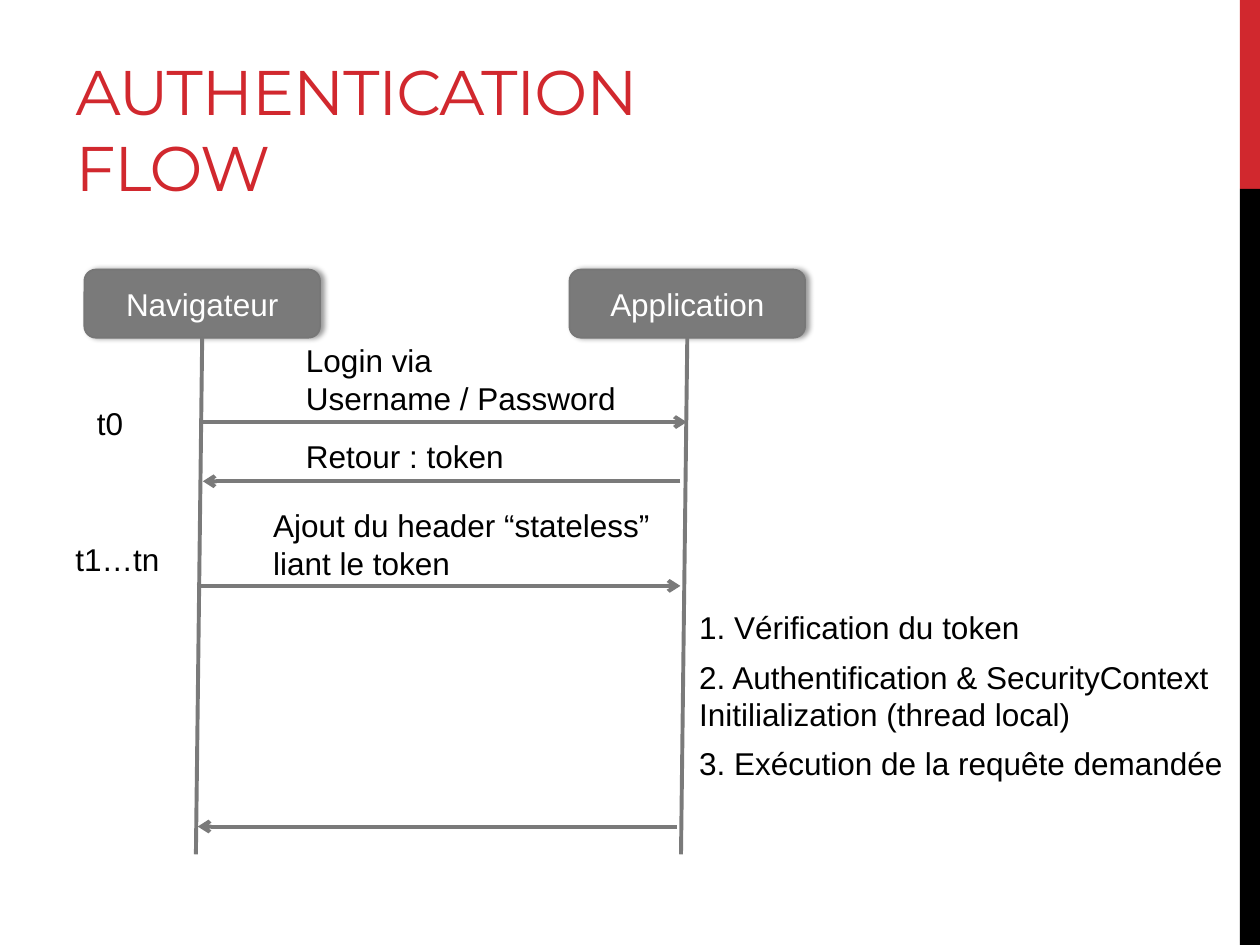
from lxml.etree import SubElement as Sub
from pptx import Presentation
from pptx.dml.color import RGBColor
from pptx.enum.shapes import MSO_CONNECTOR as LINK, MSO_SHAPE as SHAPE
from pptx.enum.text import MSO_ANCHOR as ANCHOR, PP_ALIGN as ALIGN
from pptx.oxml.ns import qn
from pptx.util import Inches, Pt

RED = RGBColor(0xD1, 0x28, 0x2E)
BLACK = RGBColor(0, 0, 0)
WHITE = RGBColor(0xFF, 0xFF, 0xFF)
GREY = RGBColor(0x7A, 0x7A, 0x7A)
EDGE = RGBColor(0x77, 0x77, 0x77)


def style(para, color, size=18, face="Arial"):
    para.font.name = face
    para.font.size = Pt(size)
    para.font.color.rgb = color


def add_side(slide, left, top, width, height):
    """Two-colour band: the top fifth red, the rest black."""
    cut = height / 5
    for y, h, color in ((top, cut, RED), (top + cut, height - cut, BLACK)):
        band = slide.shapes.add_shape(
            SHAPE.RECTANGLE, Inches(left), Inches(y), Inches(width), Inches(h))
        band.shadow.inherit = False
        band.fill.solid()
        band.fill.fore_color.rgb = color
        band.line.fill.background()


def add_title(slide, text, left, top, width, height):
    title = slide.shapes.title
    title.left, title.top = Inches(left), Inches(top)
    title.width, title.height = Inches(width), Inches(height)
    frame = title.text_frame
    frame.text = text
    frame.vertical_anchor = ANCHOR.BOTTOM
    para = frame.paragraphs[0]
    para.alignment = ALIGN.LEFT
    style(para, RED, 36, "Montserrat")
    for run in para.runs:
        run._r.get_or_add_rPr().set("spc", "-60")


def add_label(slide, lines, left, top, width):
    height = 0.09 + 0.31 * len(lines)
    box = slide.shapes.add_textbox(
        Inches(left), Inches(top), Inches(width), Inches(height))
    frame = box.text_frame
    frame.word_wrap = False
    frame.text = "\n".join(lines)
    for para in frame.paragraphs:
        style(para, BLACK)


def add_line(slide, x1, y1, x2, y2, arrow=False):
    line = slide.shapes.add_connector(
        LINK.STRAIGHT, Inches(x1), Inches(y1), Inches(x2), Inches(y2))
    line.line.color.rgb = GREY
    line.line.width = Pt(2.25)
    if arrow:
        Sub(line.line._get_or_add_ln(), qn("a:tailEnd"), type="arrow")
    Sub(line._element.spPr, qn("a:effectLst"))


def add_actor(slide, name, left, top, width=1.87, height=0.54):
    """Named box with its slightly slanted lifeline."""
    box = slide.shapes.add_shape(
        SHAPE.ROUNDED_RECTANGLE,
        Inches(left), Inches(top), Inches(width), Inches(height))
    box.fill.solid()
    box.fill.fore_color.rgb = GREY
    box.line.color.rgb = EDGE
    box.line.width = Pt(1)

    # Soft shadow to the right
    box.shadow.inherit = False
    glow = Sub(box._element.spPr.find(qn("a:effectLst")), qn("a:outerShdw"),
               blurRad=str(Pt(3.1)), dist=str(Pt(1.8)), dir="0",
               algn="tl", rotWithShape="0")
    tint = Sub(glow, qn("a:srgbClr"), val=str(BLACK))
    Sub(tint, qn("a:alpha"), val="40000")

    frame = box.text_frame
    frame.text = name
    frame.vertical_anchor = ANCHOR.MIDDLE
    para = frame.paragraphs[0]
    para.alignment = ALIGN.CENTER
    style(para, WHITE)

    mid, foot = left + width / 2, top + height
    add_line(slide, mid, foot, mid - 0.05, foot + 4.1)


def add_flow(slide, left, top):
    """Sequence diagram: actors, messages, times and server steps."""
    for name, x in (("Navigateur", 0), ("Application", 3.85)):
        add_actor(slide, name, left + x, top)

    # Messages: start, end, height
    for x1, x2, y in ((0.94, 4.78, 1.21), (4.73, 0.94, 1.68),
                      (0.89, 4.73, 2.51), (4.7, 0.9, 4.42)):
        add_line(slide, left + x1, top + y, left + x2, top + y, True)

    # Labels: lines, offset, width
    labels = (
        (["t0"], 0, 1.02, 0.41),
        (["t1…tn"], -0.17, 2.1, 0.88),
        (["Login via", "Username / Password"], 1.66, 0.52, 2.69),
        (["Retour : token"], 1.66, 1.28, 1.79),
        (["Ajout du header “stateless”", "liant le token"], 1.4, 1.83, 3.23),
        (["1. Vérification du token"], 4.78, 2.64, 2.77),
        (["2. Authentification & SecurityContext",
          "Initilialization (thread local)"], 4.78, 3.03, 4.29),
        (["3. Exécution de la requête demandée"], 4.78, 3.72, 4.4),
    )
    for lines, x, y, width in labels:
        add_label(slide, lines, left + x, top + y, width)


deck = Presentation()
deck.slide_width, deck.slide_height = Inches(10), Inches(7.5)
page = deck.slides.add_slide(deck.slide_layouts[5])
add_side(page, 9.84, 0, 0.16, 7.5)
add_title(page, "AUTHENTICATION\vFLOW", 0.5, 0.17, 6.33, 1.5)
add_flow(page, 0.67, 2.14)
deck.save("out.pptx")
